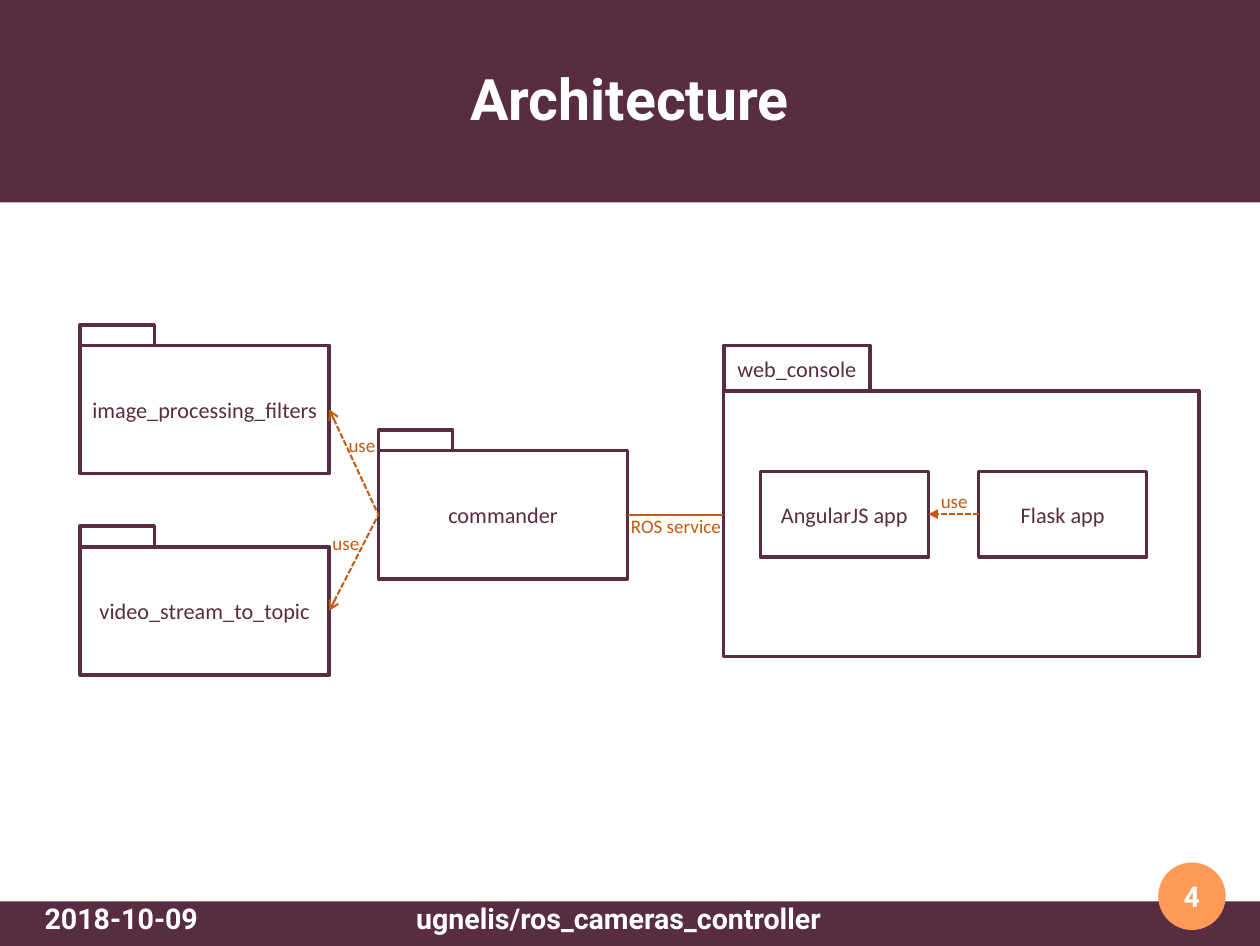
"""Build the architecture slide: packages, their links and the page frame."""
from dataclasses import dataclass
from typing import Any, Optional

from lxml import etree
from pptx import Presentation
from pptx import util as u
from pptx.dml.color import RGBColor
from pptx.enum import dml, shapes, text
from pptx.oxml import ns

PLUM = RGBColor(0x58, 0x2D, 0x41)
PEACH = RGBColor(0xFF, 0x9A, 0x56)
RUST = RGBColor(0xC5, 0x5A, 0x11)
WHITE = RGBColor(0xFF, 0xFF, 0xFF)

RECT = shapes.MSO_SHAPE.RECTANGLE
OVAL = shapes.MSO_SHAPE.OVAL
LEFT, CENTER = text.PP_ALIGN.LEFT, text.PP_ALIGN.CENTER
TOP, MIDDLE = text.MSO_ANCHOR.TOP, text.MSO_ANCHOR.MIDDLE
WEST, EAST = 1, 3


@dataclass
class Box:
    x: float
    y: float
    w: float
    h: float

    def size(self) -> list[int]:
        return [u.Inches(v) for v in (self.x, self.y, self.w, self.h)]


@dataclass
class Pack:
    body: Box
    tab: Box
    name: str = ""
    title: str = ""


@dataclass
class Label:
    words: str
    box: Box


def small(name: str, x: float, y: float) -> Pack:
    return Pack(Box(x, y, 2.18, 1.12), Box(x, y - 0.18, 0.65, 0.18), name)


PACKS = [
    small("image_processing_filters", 0.7, 3.02),
    small("video_stream_to_topic", 0.7, 4.78),
    small("commander", 3.31, 3.94),
    Pack(Box(6.33, 3.42, 4.16, 2.32), Box(6.33, 3.02, 1.28, 0.4),
         title="web_console"),
]
APPS = [
    Label("AngularJS app", Box(6.65, 4.12, 1.47, 0.75)),
    Label("Flask app", Box(8.56, 4.12, 1.47, 0.75)),
]
LABELS = [
    Label("use", Box(2.95, 3.74, 0.44, 0.3)),
    Label("use", Box(2.81, 4.6, 0.44, 0.3)),
    Label("ROS service", Box(5.42, 4.45, 1.01, 0.3)),
    Label("use", Box(8.13, 4.23, 0.44, 0.3)),
]


def write(shape: Any, words: str, *, size: int = 14, font: str = "Calibri",
          color: RGBColor = PLUM, bold: bool = False, align: Any = CENTER,
          anchor: Any = MIDDLE, inset: bool = True, wrap: bool = False,
          grow: bool = False) -> None:
    frame = shape.text_frame
    frame.word_wrap = wrap
    frame.vertical_anchor = anchor
    if grow:
        frame.auto_size = text.MSO_AUTO_SIZE.SHAPE_TO_FIT_TEXT
    if not inset:
        frame.margin_left = frame.margin_right = 0
        frame.margin_top = frame.margin_bottom = 0
    para = frame.paragraphs[0]
    para.alignment = align
    run = para.add_run()
    run.text = words
    run.font.size = u.Pt(size)
    run.font.name = font
    run.font.bold = bold
    run.font.color.rgb = color


def draw(tree: Any, box: Box, fill: RGBColor = WHITE,
         line: Optional[RGBColor] = PLUM, kind: Any = RECT) -> Any:
    shape = tree.add_shape(kind, *box.size())
    shape.shadow.inherit = False
    shape.fill.solid()
    shape.fill.fore_color.rgb = fill
    if line is None:
        shape.line.fill.background()
    else:
        shape.line.color.rgb = line
        shape.line.width = u.Pt(2.25)
    return shape


def pack(tree: Any, item: Pack) -> Any:
    group = tree.add_group_shape().shapes
    body = draw(group, item.body)
    tab = draw(group, item.tab)
    for shape, words in ((body, item.name), (tab, item.title)):
        if words:
            write(shape, words)
    return body


def link(tree: Any, start: Any, out: int, end: Any = None, into: int = WEST,
         stop: tuple[float, float] = (0, 0), dash: bool = True,
         tip: str = "", arrow: str = "arrow") -> None:
    x, y = (u.Inches(v) for v in stop)
    wire = tree.add_connector(shapes.MSO_CONNECTOR.STRAIGHT, x, y, x, y)
    wire.begin_connect(start, out)
    if end is not None:
        wire.end_connect(end, into)
    wire.line.color.rgb = RUST
    wire.line.width = u.Pt(1.25)
    if dash:
        wire.line.dash_style = dml.MSO_LINE.SQUARE_DOT
    props = wire.element.spPr
    if tip:
        etree.SubElement(props.find(ns.qn("a:ln")), ns.qn(f"a:{tip}"),
                         type=arrow)
    etree.SubElement(props, ns.qn("a:effectLst"))


def frame(tree: Any) -> None:
    look = dict(font="Roboto", color=WHITE, bold=True, inset=False)
    draw(tree, Box(0, 7.88, 11.02, 0.39), PLUM, None)
    draw(tree, Box(0, 0, 11.02, 1.77), PLUM, None)
    badge = draw(tree, Box(10.13, 7.54, 0.59, 0.59), PEACH, None, OVAL)
    write(badge, "4", size=18, **look)
    title = tree.add_textbox(*Box(0.39, 0.33, 10.23, 1.05).size())
    write(title, "Architecture", size=36, wrap=True, **look)
    date = tree.add_textbox(*Box(0.39, 7.88, 3.15, 0.39).size())
    write(date, "2018-10-09", size=18, align=LEFT, anchor=TOP, wrap=True,
          **look)
    foot = tree.add_textbox(*Box(3.54, 7.88, 3.74, 0.39).size())
    write(foot, "ugnelis/ros_cameras_controller", size=18, anchor=TOP,
          wrap=True, **look)


def main() -> None:
    deck = Presentation()
    deck.slide_width, deck.slide_height = u.Inches(11.02), u.Inches(8.27)
    tree = deck.slides.add_slide(deck.slide_layouts[6]).shapes
    frame(tree)
    image, video, boss, _ = [pack(tree, item) for item in PACKS]
    apps = []
    for app in APPS:
        apps.append(draw(tree, app.box))
        write(apps[-1], app.words)
    front, back = apps
    for node in (image, video):
        link(tree, node, EAST, boss, WEST, tip="headEnd")
    link(tree, boss, EAST, stop=(6.32, 4.5), dash=False)
    link(tree, back, WEST, front, EAST, tip="tailEnd", arrow="triangle")
    for label in LABELS:
        note = tree.add_textbox(*label.box.size())
        write(note, label.words, size=12, color=RUST, align=LEFT, anchor=TOP,
              grow=True)
    deck.save("out.pptx")


if __name__ == "__main__":
    main()
